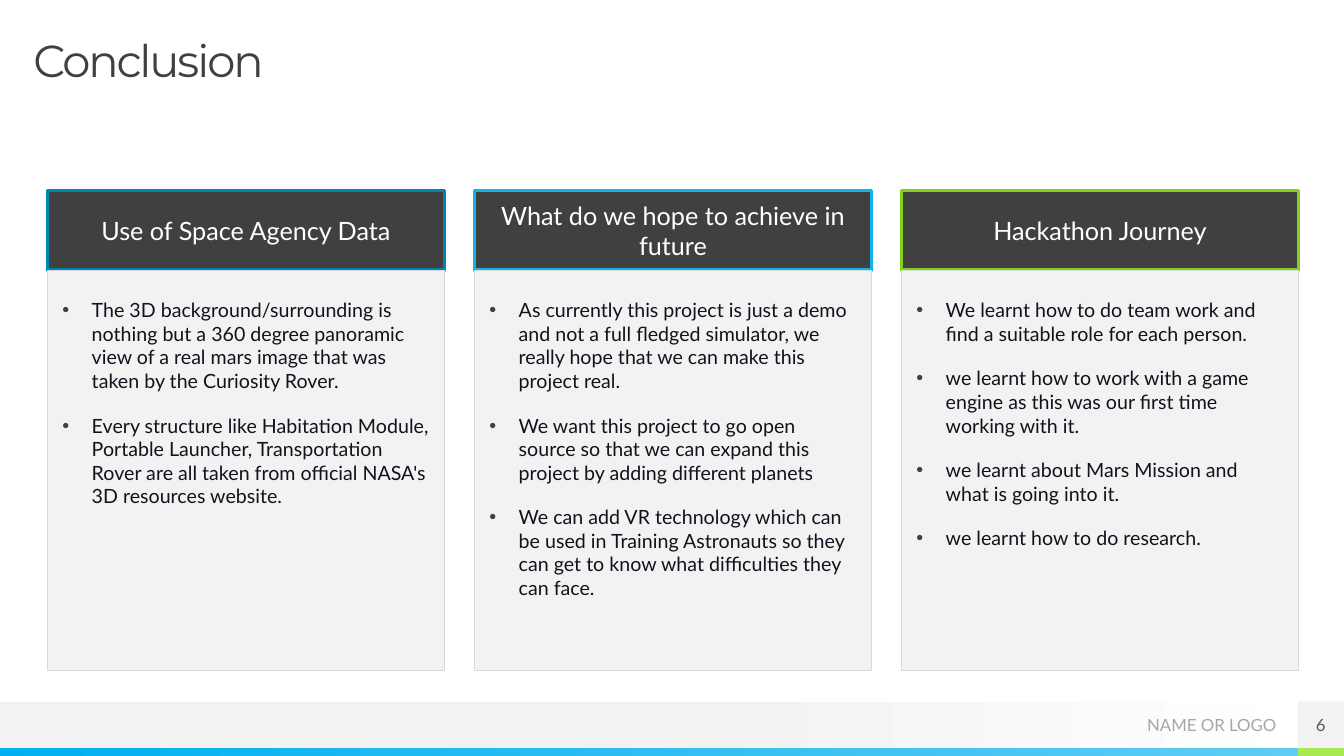
from dataclasses import dataclass

import pptx
import pptx.dml.color
import pptx.enum.shapes
import pptx.enum.text
import pptx.oxml.ns
import pptx.util
from lxml import etree
from pptx.util import Inches

ALIGN = pptx.enum.text.PP_ALIGN
ANCHOR = pptx.enum.text.MSO_ANCHOR


@dataclass(frozen=True)
class Theme:
    heading_font: str = "Montserrat"
    body_font: str = "Lato"
    title_size: int = 32
    header_size: int = 18
    bullet_size: int = 14
    footer_size: int = 12
    dark: str = "404040"
    pale: str = "F2F2F2"
    white: str = "FFFFFF"
    border: str = "D9D9D9"
    ink: str = "12121E"
    logo: str = "A6A6A6"
    number: str = "595959"
    strip: tuple = ("00B0F0", "5ECCF3")
    corner: str = "A7EA52"


THEME = Theme()

COLUMNS = [
    ("Use of Space Agency Data", "0084B4", [
        "The 3D background/surrounding is nothing but a 360 degree panoramic view of a real mars image that was taken by the Curiosity Rover.",
        "Every structure like Habitation Module, Portable Launcher, Transportation Rover are all taken from official NASA's 3D resources website.",
    ]),
    ("What do we hope to achieve in future", "12B2EB", [
        "As currently this project is just a demo and not a full fledged simulator, we really hope that we can make this project real.",
        "We want this project to go open source so that we can expand this project by adding different planets",
        "We can add VR technology which can be used in Training Astronauts so they can get to know what difficulties they can face.",
    ]),
    ("Hackathon Journey", "81D31A", [
        "We learnt how to do team work and find a suitable role for each person.",
        "we learnt how to work with a game engine as this was our first time working with it.",
        "we learnt about Mars Mission and what is going into it.",
        "we learnt how to do research.",
    ]),
]


def rgb(code):
    return pptx.dml.color.RGBColor.from_string(code)


def set_font(para, size, color, name=THEME.body_font):
    para.font.size = pptx.util.Pt(size)
    para.font.name = name
    para.font.color.rgb = rgb(color)


def set_frame(box, margins=(0, 0, 0, 0), anchor=ANCHOR.MIDDLE):
    frame = box.text_frame
    frame.word_wrap = True
    frame.auto_size = pptx.enum.text.MSO_AUTO_SIZE.NONE
    frame.vertical_anchor = anchor
    frame.margin_left, frame.margin_top, frame.margin_right, frame.margin_bottom = map(Inches, margins)
    return frame


def add_panel(page, place, fill=None, line=None, weight=0.75):
    panel = page.shapes.add_shape(pptx.enum.shapes.MSO_SHAPE.RECTANGLE, *map(Inches, place))
    panel.shadow.inherit = False
    if fill:
        panel.fill.solid()
        panel.fill.fore_color.rgb = rgb(fill)
    if line:
        panel.line.color.rgb = rgb(line)
        panel.line.width = pptx.util.Pt(weight)
    else:
        panel.line.fill.background()
    return panel


def add_gradient_panel(page, place, stops):
    panel = add_panel(page, place)
    panel.fill.gradient()
    panel.fill.gradient_angle = 0
    for stop, (position, color) in zip(panel.fill.gradient_stops, stops):
        stop.position = position
        stop.color.rgb = rgb(color)


def write_line(box, text, size, color, align, margins=(0, 0, 0, 0)):
    para = set_frame(box, margins).paragraphs[0]
    para.text = text
    para.alignment = align
    set_font(para, size, color)


def add_bullet(para):
    properties = para._p.get_or_add_pPr()
    properties.set("marL", str(Inches(0.29)))
    properties.set("indent", str(-Inches(0.29)))
    tag = pptx.oxml.ns.qn
    bullet_color = etree.SubElement(properties, tag("a:buClr"))
    etree.SubElement(bullet_color, tag("a:srgbClr"), val=THEME.dark)
    etree.SubElement(properties, tag("a:buFont"), typeface="Arial")
    etree.SubElement(properties, tag("a:buChar"), char="•")


def write_bullets(box, items):
    frame = set_frame(box, (0.15, 0.28, 0.15, 0), ANCHOR.TOP)
    for index, item in enumerate(items):
        para = frame.add_paragraph() if index else frame.paragraphs[0]
        para.text = item
        para.alignment = ALIGN.LEFT
        add_bullet(para)
        para.space_before = pptx.util.Pt(10 if index else 0)
        para.space_after = pptx.util.Pt(5)
        set_font(para, THEME.bullet_size, THEME.ink)


def add_column(page, left, heading, accent, items):
    header = add_panel(page, (left, 1.89, 3.94, 0.79), THEME.dark, accent, 2.5)
    write_line(header, heading, THEME.header_size, THEME.white, ALIGN.CENTER, (0.12, 0.04, 0.12, 0.04))
    body = add_panel(page, (left, 2.68, 3.94, 3.97), THEME.pale, THEME.border)
    write_bullets(body, items)


def set_title(page, text):
    title = page.shapes.title
    title.left, title.top, title.width, title.height = map(Inches, (0.33, 0.38, 12.4, 0.47))
    para = set_frame(title, anchor=ANCHOR.TOP).paragraphs[0]
    span = para.add_run()
    span.text = text
    span._r.get_or_add_rPr().set("spc", "-150")
    para.alignment = ALIGN.LEFT
    para.line_spacing = 0.9
    set_font(para, THEME.title_size, THEME.dark, THEME.heading_font)


def add_footer(page):
    add_gradient_panel(page, (0, 6.96, 13.33, 0.46), [(0.53, THEME.pale), (1, THEME.white)])
    add_gradient_panel(page, (0, 7.42, 12.87, 0.08), zip((0, 1), THEME.strip))
    add_panel(page, (12.87, 7.42, 0.46, 0.08), THEME.corner)
    label = page.shapes.add_textbox(*map(Inches, (10.42, 6.96, 2.24, 0.47)))
    write_line(label, "NAME OR LOGO", THEME.footer_size, THEME.logo, ALIGN.RIGHT)
    number = add_panel(page, (12.87, 6.96, 0.46, 0.46), THEME.pale)
    write_line(number, "6", THEME.footer_size, THEME.number, ALIGN.CENTER)


def main():
    deck = pptx.Presentation()
    deck.slide_width, deck.slide_height = Inches(13.33), Inches(7.5)
    page = deck.slides.add_slide(deck.slide_layouts.get_by_name("Title Only"))
    set_title(page, "Conclusion")
    add_footer(page)
    for index, column in enumerate(COLUMNS):
        add_column(page, 0.47 + index * 4.235, *column)
    deck.save("out.pptx")


if __name__ == "__main__":
    main()
